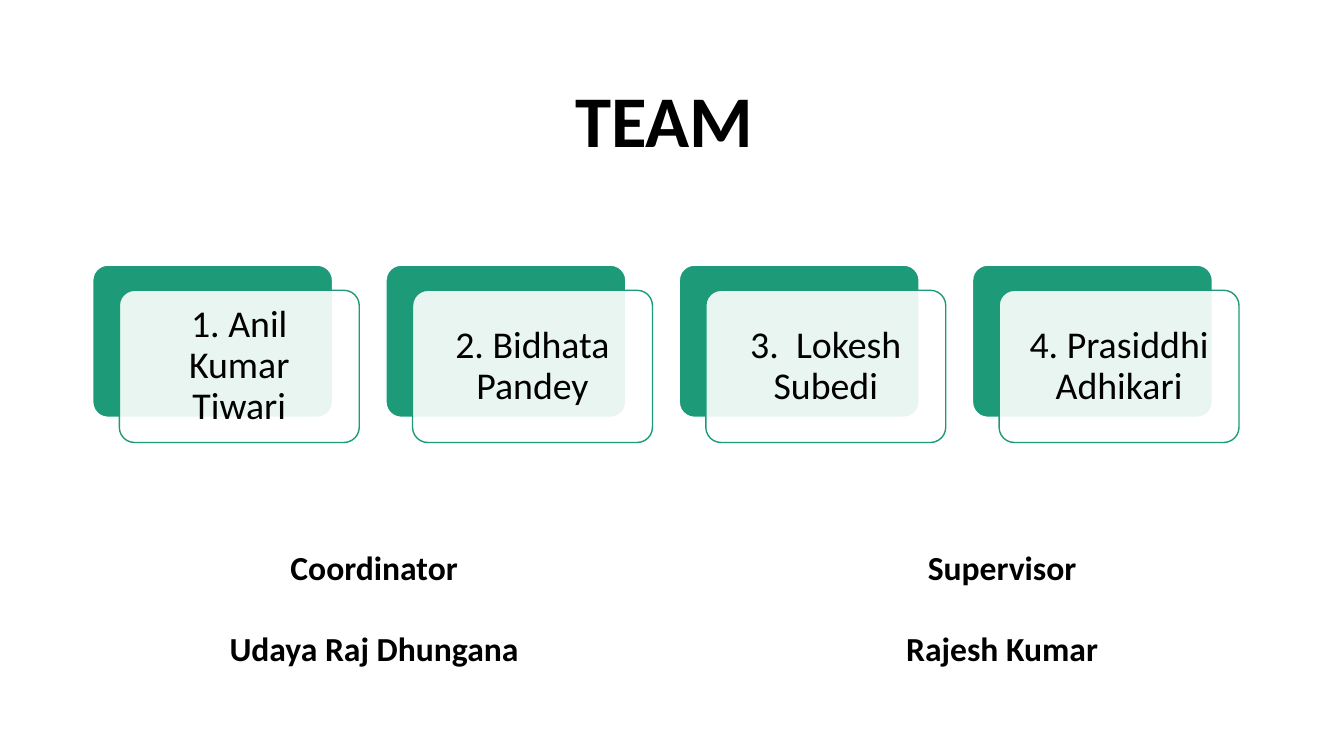
import pptx
import pptx.dml.color
import pptx.enum.shapes
import pptx.enum.text
import pptx.oxml.ns
import pptx.util
from lxml import etree

GREEN = pptx.dml.color.RGBColor(0x1D, 0x9A, 0x78)
WHITE = pptx.dml.color.RGBColor(0xFF, 0xFF, 0xFF)
BLACK = pptx.dml.color.RGBColor(0x00, 0x00, 0x00)

CARD_LEFT, CARD_TOP = 6.9, 35.07
CARD_WIDTH, CARD_HEIGHT = 17.85, 20.13
CARD_PITCH = 21.82
FRONT_SHIFT_X, FRONT_SHIFT_Y = 1.98, 3.33

MEMBERS = ["1. Anil Kumar Tiwari", "2. Bidhata Pandey",
           "3.  Lokesh Subedi", "4. Prasiddhi Adhikari"]
LEADERS = [
    ("Coordinator", "Udaya Raj Dhungana", 3.23, 22.93),
    ("Supervisor", "Rajesh Kumar", 49.96, 17.47),
]


class TeamSlide:
    font = "Calibri"

    def __init__(self, deck):
        self.percent_x = deck.slide_width / 100
        self.percent_y = deck.slide_height / 100
        self.slide = deck.slides.add_slide(deck.slide_layouts[5])

    def box(self, left, top, width, height):
        return (int(left * self.percent_x), int(top * self.percent_y),
                int(width * self.percent_x), int(height * self.percent_y))

    def add_words(self, paragraph, words, size, bold=False):
        paragraph.alignment = pptx.enum.text.PP_ALIGN.CENTER
        run = paragraph.add_run()
        run.text = words
        run.font.name = self.font
        run.font.size = pptx.util.Pt(size)
        run.font.bold = bold
        run.font.color.rgb = BLACK

    def title(self, words, *place):
        heading = self.slide.shapes.title
        heading.left, heading.top, heading.width, heading.height = self.box(*place)
        heading.text_frame.vertical_anchor = pptx.enum.text.MSO_ANCHOR.MIDDLE
        paragraph = heading.text_frame.paragraphs[0]
        paragraph.line_spacing = 0.9
        self.add_words(paragraph, words, 52, True)

    def panel(self, left, top, fill, line):
        panel = self.slide.shapes.add_shape(
            pptx.enum.shapes.MSO_SHAPE.ROUNDED_RECTANGLE,
            *self.box(left, top, CARD_WIDTH, CARD_HEIGHT))
        panel.adjustments[0] = 0.1
        panel.shadow.inherit = False
        panel.fill.solid()
        panel.fill.fore_color.rgb = fill
        panel.line.color.rgb = line
        panel.line.width = pptx.util.Pt(1)
        return panel

    def card(self, member, left, top):
        self.panel(left, top, GREEN, WHITE)
        front = self.panel(left + FRONT_SHIFT_X, top + FRONT_SHIFT_Y, WHITE, GREEN)
        qn = pptx.oxml.ns.qn
        solid = front._element.spPr.find(qn("a:solidFill"))
        tint = solid.find(qn("a:srgbClr"))
        etree.SubElement(tint, qn("a:alpha")).set("val", "90000")
        frame = front.text_frame
        frame.word_wrap = True
        frame.vertical_anchor = pptx.enum.text.MSO_ANCHOR.MIDDLE
        inset = pptx.util.Inches(0.15)
        frame.margin_left = frame.margin_right = inset
        frame.margin_top = frame.margin_bottom = inset
        paragraph = frame.paragraphs[0]
        paragraph.line_spacing = 0.9
        self.add_words(paragraph, member, 27)

    def leader(self, role, person, *place):
        frame = self.slide.shapes.add_textbox(*self.box(*place)).text_frame
        frame.word_wrap = True
        frame.auto_size = pptx.enum.text.MSO_AUTO_SIZE.SHAPE_TO_FIT_TEXT
        self.add_words(frame.paragraphs[0], role, 24, True)
        name_line = frame.add_paragraph()
        name_line.space_before = pptx.util.Pt(29)
        self.add_words(name_line, person, 24, True)


def main():
    deck = pptx.Presentation()
    deck.slide_width = pptx.util.Inches(13.33)
    deck.slide_height = pptx.util.Inches(7.5)
    team = TeamSlide(deck)
    team.title("TEAM ", 6.9, 8.13, 86.27, 16.53)
    for column, member in enumerate(MEMBERS):
        team.card(member, CARD_LEFT + column * CARD_PITCH, CARD_TOP)
    for role, person, left, height in LEADERS:
        team.leader(role, person, left, 71.73, 49.21, height)
    deck.save("out.pptx")


if __name__ == "__main__":
    main()
